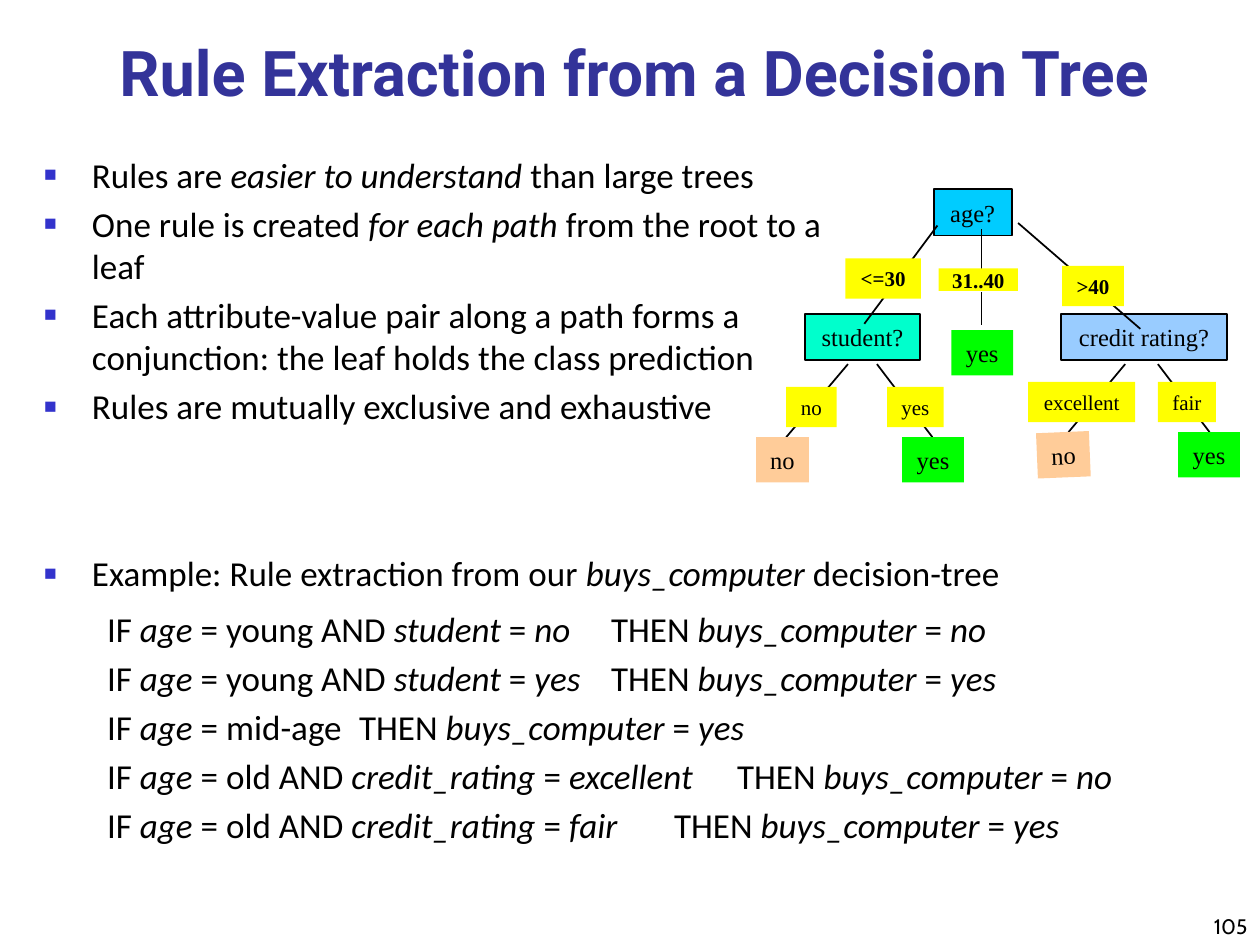
from lxml.etree import SubElement
from pptx import Presentation
from pptx.dml.color import RGBColor
from pptx.enum.shapes import MSO_CONNECTOR, MSO_SHAPE
from pptx.enum.text import MSO_ANCHOR, MSO_AUTO_SIZE, PP_ALIGN
from pptx.oxml.ns import qn
from pptx.util import Inches, Pt

BLACK, YELLOW, GREEN, PEACH = "000000", "FFFF00", "00FF00", "FFCC99"
SERIF = "Times New Roman"

POINTS = [
    "Rules are *easier to understand* than large trees",
    "One rule is created *for each path* from the root to a leaf",
    "Each attribute-value pair along a path forms a conjunction: "
    "the leaf holds the class prediction",
    "Rules are mutually exclusive and exhaustive",
]
EXAMPLE = "Example: Rule extraction from our *buys_computer* decision-tree"
# condition, class, tab stop of THEN
RULES = [
    ("young AND *student* = *no*", "no", 5.25),
    ("young AND *student* = *yes*", "yes", 5.26),
    ("mid-age", "yes", 5.06),
    ("old AND *credit_rating* = *excellent*", "no", 5.28),
    ("old AND *credit_rating* = *fair*", "yes", 5.3),
]

# Tree parts, in inches from the corner of the tree: text, x, y, w, h, fill
TESTS = [
    ("age?", 1.41, 0, 0.62, 0.37, "00CCFF"),
    ("student?", 0.39, 0.99, 0.91, 0.37, "00FFCC"),
    ("credit rating?", 2.42, 0.99, 1.32, 0.37, "99CCFF"),
]
EDGES = [
    (1.44, 0.29, 0.86, 1.07), (1.79, 0.32, 1.79, 0.64),
    (1.79, 0.82, 1.79, 1.08), (2.08, 0.27, 3.05, 1.11),
    (0.73, 1.39, 0.24, 1.97), (0.96, 1.39, 1.4, 1.97),
    (2.93, 1.39, 2.48, 1.93), (3.19, 1.39, 3.6, 1.93),
]
RANGES = [
    ("<=30", 0.71, 0.55, 0.6, 0.32, YELLOW),
    ("31..40", 1.45, 0.63, 0.63, 0.18, YELLOW),
    (">40", 2.43, 0.61, 0.49, 0.32, YELLOW),
]
VALUES = [
    ("no", 0.24, 1.57, 0.4, 0.32, YELLOW),
    ("yes", 1.04, 1.57, 0.45, 0.32, YELLOW),
    ("excellent", 2.16, 1.53, 0.85, 0.32, YELLOW),
    ("fair", 3.19, 1.53, 0.46, 0.32, YELLOW),
]
LEAVES = [
    ("no", 0, 1.97, 0.42, 0.36, PEACH),
    ("yes", 1.16, 1.97, 0.49, 0.36, GREEN),
    ("yes", 1.55, 1.12, 0.49, 0.36, GREEN),
    ("no", 2.23, 1.93, 0.42, 0.36, PEACH, -2.4),
    ("yes", 3.35, 1.93, 0.49, 0.36, GREEN),
]


def color(code):
    return RGBColor.from_string(code)


def write(para, text, size=20, font="Calibri", ink=BLACK, bold=False,
          align=PP_ALIGN.LEFT, before=0):
    """Fill a paragraph; text between asterisks is italic."""
    para.alignment = align
    para.space_before = Pt(before)
    for i, part in enumerate(text.split("*")):
        if part:
            run = para.add_run()
            run.text = part
            run.font.size, run.font.name = Pt(size), font
            run.font.bold, run.font.italic = bold, i % 2 == 1
            run.font.color.rgb = color(ink)


def place(shape, left, top, width, height):
    shape.left, shape.top = Inches(left), Inches(top)
    shape.width, shape.height = Inches(width), Inches(height)


def setup(shape, anchor):
    frame = shape.text_frame
    frame.auto_size = MSO_AUTO_SIZE.NONE
    frame.word_wrap = True
    frame.vertical_anchor = anchor
    return frame


def bullet(para):
    props = para._p.get_or_add_pPr()
    props.set("marL", str(Inches(0.38)))
    props.set("indent", str(-Inches(0.38)))
    SubElement(SubElement(props, qn("a:buClr")), qn("a:srgbClr"), val="3333CC")
    SubElement(props, qn("a:buSzPct"), val="60000")
    SubElement(props, qn("a:buFont"), typeface="Arial")
    SubElement(props, qn("a:buChar"), char="■")


def indent(para, stop):
    """Indent a rule and set the tab stop that its THEN part starts at."""
    props = para._p.get_or_add_pPr()
    props.set("marL", "0")
    props.set("indent", str(Inches(0.5)))
    SubElement(props, qn("a:buNone"))
    tabs = SubElement(props, qn("a:tabLst"))
    SubElement(tabs, qn("a:tab"), pos=str(Inches(stop)), algn="l")


def title(shape, box):
    place(shape, *box)
    frame = setup(shape, MSO_ANCHOR.BOTTOM)
    write(frame.paragraphs[0], "Rule Extraction from a Decision Tree", size=36,
          font="Roboto", ink="333399", bold=True, align=PP_ALIGN.CENTER)


def points(shape, box):
    place(shape, *box)
    frame = setup(shape, MSO_ANCHOR.TOP)
    for i, text in enumerate(POINTS):
        para = frame.add_paragraph() if i else frame.paragraphs[0]
        write(para, text, before=4)
        bullet(para)


def rules(shape, box):
    place(shape, *box)
    frame = setup(shape, MSO_ANCHOR.TOP)
    write(frame.paragraphs[0], EXAMPLE, before=4)
    bullet(frame.paragraphs[0])
    for i, (test, label, stop) in enumerate(RULES):
        para = frame.add_paragraph()
        para.level = 1
        write(para, f"IF *age* = {test}\tTHEN *buys_computer* = *{label}*",
              before=4 if i else 8)
        indent(para, stop)


def node(slide, box, text, fill, size=14, bold=False, line=None, turn=0):
    shape = slide.shapes.add_shape(MSO_SHAPE.RECTANGLE, *map(Inches, box))
    shape.shadow.inherit = False
    shape.rotation = turn
    shape.fill.solid()
    shape.fill.fore_color.rgb = color(fill)
    if line:
        shape.line.color.rgb = color(line)
        shape.line.width = Pt(1)
    else:
        shape.line.fill.background()
    frame = setup(shape, MSO_ANCHOR.MIDDLE)
    frame.word_wrap = False
    frame.margin_top = frame.margin_bottom = 0
    write(frame.paragraphs[0], text, size=size, font=SERIF, bold=bold,
          align=PP_ALIGN.CENTER)


def edge(slide, ends):
    line = slide.shapes.add_connector(MSO_CONNECTOR.STRAIGHT,
                                      *map(Inches, ends))
    line.line.color.rgb = color(BLACK)
    line.line.width = Pt(1)
    SubElement(line._element.spPr, qn("a:effectLst"))


def tree(slide, left, top):
    def nodes(parts, **look):
        for text, x, y, wide, high, fill, *turn in parts:
            node(slide, (left + x, top + y, wide, high), text, fill,
                 turn=turn[0] if turn else 0, **look)

    nodes(TESTS, line=BLACK)
    for x1, y1, x2, y2 in EDGES:
        edge(slide, (left + x1, top + y1, left + x2, top + y2))
    nodes(RANGES, size=12, bold=True)
    nodes(LEAVES)
    nodes(VALUES, size=12)


def number(slide, box):
    shape = slide.shapes.add_textbox(*map(Inches, box))
    frame = setup(shape, MSO_ANCHOR.BOTTOM)
    write(frame.paragraphs[0], "105", size=12, font="Cabin",
          align=PP_ALIGN.RIGHT)


def main():
    deck = Presentation()
    deck.slide_width, deck.slide_height = Inches(10), Inches(7.5)
    slide = deck.slides.add_slide(deck.slide_layouts[3])
    head, upper, lower = slide.placeholders
    number(slide, (7.92, 7.08, 2.08, 0.42))
    tree(slide, 6, 1.5)
    rules(lower, (0.25, 4.33, 9.58, 2.58))
    title(head, (0.23, 0.25, 9.61, 0.67))
    points(upper, (0.25, 1.17, 6.83, 3.5))
    deck.save("out.pptx")


if __name__ == "__main__":
    main()
